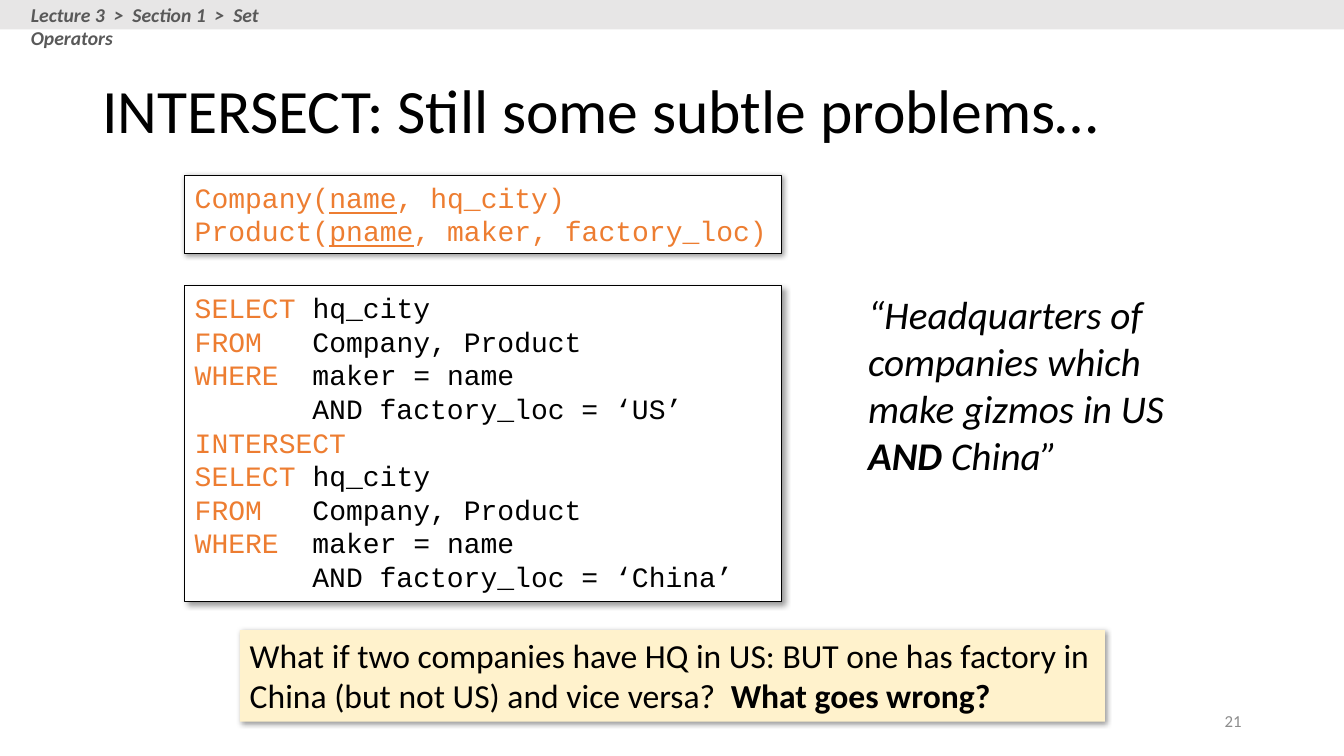
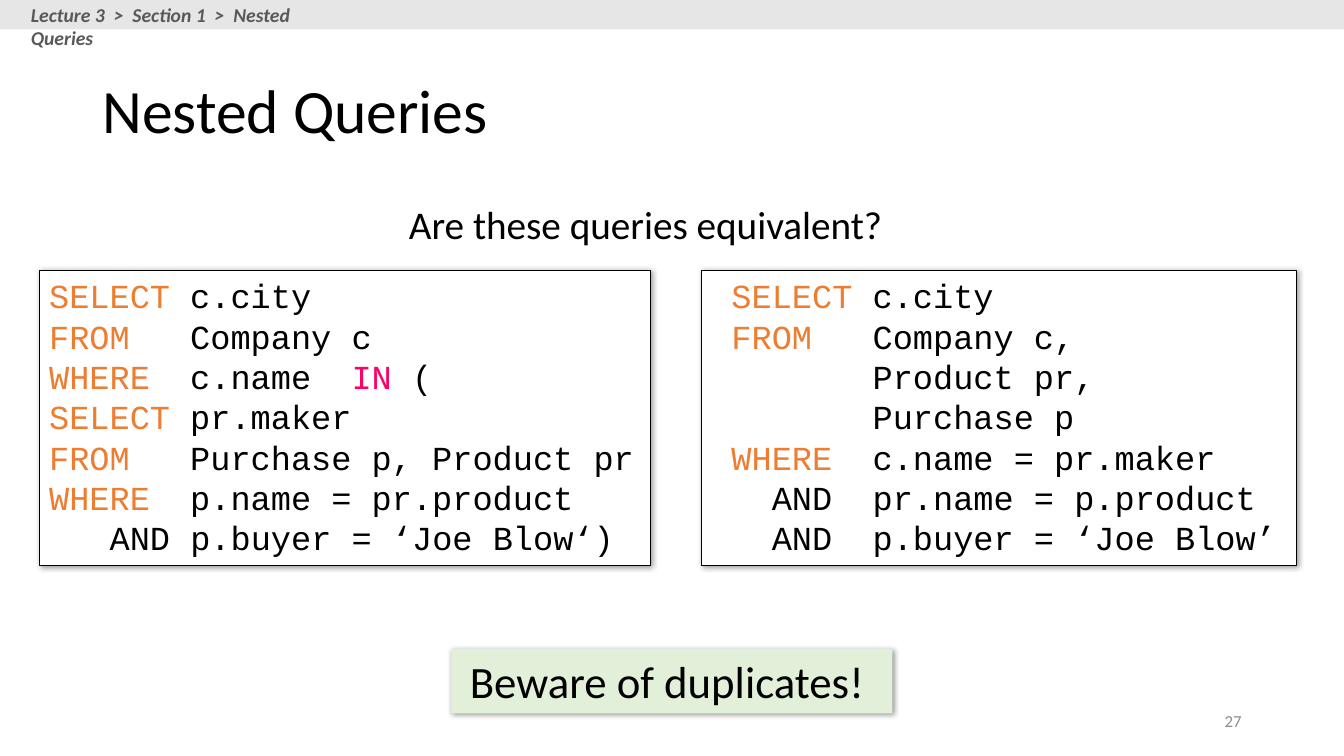
from lxml import etree
from pptx import Presentation
from pptx.dml.color import RGBColor
from pptx.enum import shapes, text
from pptx.oxml import ns
from pptx.util import Pt

COLORS = {
    "ink": "000000", "paper": "FFFFFF", "keyword": "ED7D31", "operator": "FF0066",
    "band": "E7E6E6", "crumb": "595959", "number": "8C8C8C",
    "question": "FFF2CC", "warning": "E2F0D9",
}
BODY, CODE = "Calibri", "Courier New"
MARK = "~"  # encloses the stretches of a line that get the emphasis


def rgb(name):
    return RGBColor.from_string(COLORS[name])


def add_box(slide, at, lines, size, font=BODY, color="ink", emphasis="bold",
            fill=None, outlined=False, shadow=0, italic=False):
    """Add lines of text, on a filled panel if fill is given; shadow is its distance."""
    place = [Pt(length) for length in at]
    if fill:
        box = slide.shapes.add_shape(shapes.MSO_SHAPE.RECTANGLE, *place)
        box.fill.solid()
        box.fill.fore_color.rgb = rgb(fill)
        box.shadow.inherit = False
        if outlined:
            box.line.color.rgb = rgb("ink")
            box.line.width = Pt(0.75)
        else:
            box.line.fill.background()
    else:
        box = slide.shapes.add_textbox(*place)
    if shadow:
        effects = box._element.spPr.find(ns.qn("a:effectLst"))
        outer = etree.SubElement(effects, ns.qn("a:outerShdw"), blurRad=str(Pt(4)),
                                 dist=str(Pt(shadow)), dir="2700000", algn="tl", rotWithShape="0")
        tint = etree.SubElement(outer, ns.qn("a:srgbClr"), val=COLORS["ink"])
        etree.SubElement(tint, ns.qn("a:alpha"), val="40000")

    frame = box.text_frame
    frame.word_wrap = True
    frame.vertical_anchor = text.MSO_ANCHOR.TOP
    for row, line in enumerate(lines):
        paragraph = frame.add_paragraph() if row else frame.paragraphs[0]
        paragraph.alignment = text.PP_ALIGN.LEFT
        for position, piece in enumerate(line.split(MARK)):
            if not piece:
                continue
            run = paragraph.add_run()
            run.text = piece
            run.font.name = font
            run.font.size = Pt(size)
            run.font.italic = italic
            run.font.color.rgb = rgb(color)
            if position % 2 == 0:
                continue
            if emphasis == "bold":
                run.font.bold = True
            elif emphasis == "underline":
                run.font.underline = True
            else:
                run.font.color.rgb = rgb("operator" if piece == "IN" else "keyword")
    return box


deck = Presentation()
deck.slide_width, deck.slide_height = Pt(960), Pt(540)

# Shared frame: band, breadcrumb, title and page number
pages = [
    ("INTERSECT: Still some subtle problems…", "Set Operators", 21),
    ("Nested Queries", "Nested Queries", 27),
]
for heading, topic, number in pages:
    slide = deck.slides.add_slide(deck.slide_layouts[5])
    title = slide.shapes.title
    title.left, title.top, title.width, title.height = Pt(66), Pt(29), Pt(828), Pt(104)
    title.text_frame.text = heading
    title.text_frame.vertical_anchor = text.MSO_ANCHOR.MIDDLE
    words = title.text_frame.paragraphs[0]
    words.alignment = text.PP_ALIGN.LEFT
    words.line_spacing = 0.9
    words.font.name = BODY
    words.font.size = Pt(44)
    words.font.color.rgb = rgb("ink")

    add_box(slide, (0, 0, 960, 21), [], 14, fill="band")
    crumb = add_box(slide, (15, 0, 235, 25), [f"~Lecture 3  >  Section 1  >  {topic}~"],
                    14, color="crumb", italic=True)
    crumb.text_frame.margin_top = Pt(2)
    page = add_box(slide, (678, 500, 216, 29), [str(number)], 12, color="number")
    page.text_frame.vertical_anchor = text.MSO_ANCHOR.MIDDLE
    page.text_frame.paragraphs[0].alignment = text.PP_ALIGN.RIGHT

intersect, nested = deck.slides

# INTERSECT: schema, query, its meaning and the question
add_box(intersect, (132, 125.3, 426, 55.5),
        ["Company(~name~, hq_city)", "Product(~pname~, maker, factory_loc)"],
        20, CODE, "keyword", "underline", fill="paper", outlined=True, shadow=1)

query = []
for country in ("US", "China"):
    if query:
        query.append("~INTERSECT~")
    query += [
        "~SELECT~ hq_city",
        "~FROM~   Company, Product",
        "~WHERE~  maker = name",
        f"       AND factory_loc = ‘{country}’",
    ]
add_box(intersect, (132, 204, 426, 225.5), query, 20, CODE, emphasis="keyword",
        fill="paper", outlined=True, shadow=3)
add_box(intersect, (171.3, 450, 618, 65.5),
        ["What if two companies have HQ in US: BUT one has factory in China "
         "(but not US) and vice versa?  ~What goes wrong?~"],
        24, fill="question", shadow=1)
add_box(intersect, (613, 204, 237, 143),
        ["“Headquarters of companies which make gizmos in US ~AND~ China”"], 28, italic=True)

# Nested queries: two versions side by side
add_box(nested, (285, 139.5, 400, 41), ["Are these queries equivalent?"], 28)
subquery = [
    "~SELECT~ c.city",
    "~FROM~   Company c",
    "~WHERE~  c.name  ~IN~ (",
    "~SELECT~ pr.maker",
    "~FROM~   Purchase p, Product pr",
    "~WHERE~  p.name = pr.product",
    "   AND p.buyer = ‘Joe Blow‘)",
]
join = [
    " ~SELECT~ c.city",
    " ~FROM~   Company c,",
    "        Product pr,",
    "        Purchase p",
    " ~WHERE~  c.name = pr.maker",
    "   AND  pr.name = p.product",
    "   AND  p.buyer = ‘Joe Blow’",
]
for left, width, version in ((28, 437, subquery), (501, 425, join)):
    add_box(nested, (left, 193, width, 211), version, 24, CODE, emphasis="keyword",
            fill="paper", outlined=True, shadow=1)
warning = add_box(nested, (322.5, 463.5, 315, 46), ["Beware of duplicates!"], 32,
                  fill="warning", shadow=1)
warning.text_frame.margin_right = Pt(14)
warning.text_frame.paragraphs[0].alignment = text.PP_ALIGN.CENTER

deck.save("out.pptx")
